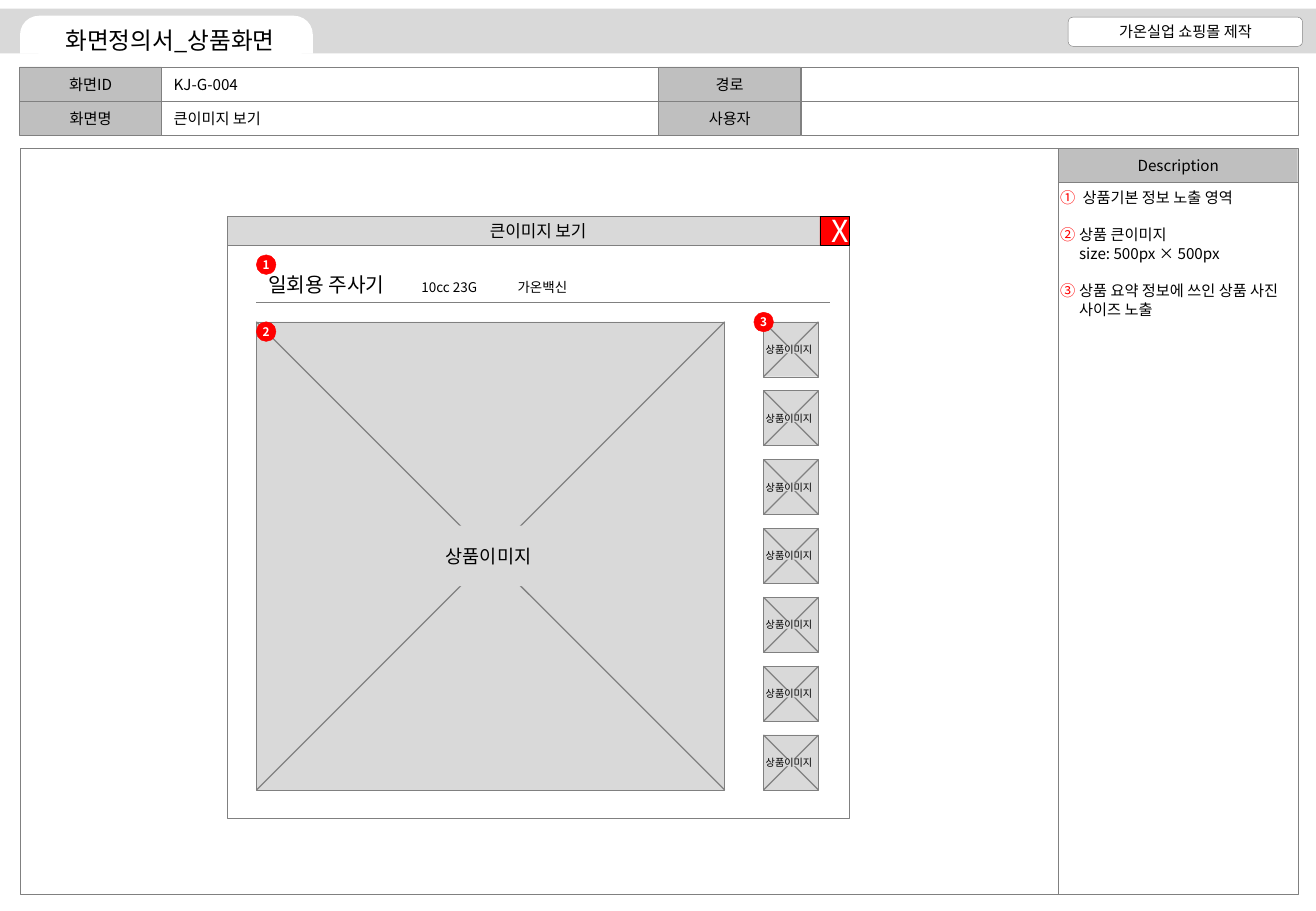
from dataclasses import dataclass

from lxml.etree import SubElement
from pptx import Presentation
from pptx.dml.color import RGBColor
from pptx.enum.shapes import MSO_CONNECTOR, MSO_SHAPE as SHAPE
from pptx.enum.text import MSO_ANCHOR as ANCHOR, PP_ALIGN as ALIGN
from pptx.oxml.ns import qn
from pptx.util import Cm, Pt


@dataclass(frozen=True)
class Theme:
    font: str = "Noto Sans CJK KR"
    black: str = "000000"
    white: str = "FFFFFF"
    red: str = "FF0000"
    line: str = "808080"
    label: str = "BFBFBF"
    panel: str = "D9D9D9"
    title: float = 14
    name: float = 12
    photo: float = 11
    bar: float = 10
    body: float = 9
    detail: float = 8
    marker: float = 7
    thumb: float = 6
    close: float = 18
    leading: float = 11
    hairline: float = 0.25
    rule: float = 0.75


T = Theme()


# Shared building blocks
def write(p, text, size, color=T.black, align=ALIGN.CENTER, bold=False):
    p.text, p.alignment = text, align
    for r in p.runs:
        r.font.color.rgb = RGBColor.from_string(color)
        for key, value in {"size": Pt(size), "bold": bold, "name": T.font}.items():
            setattr(r.font, key, value)
        SubElement(r._r.get_or_add_rPr(), qn("a:ea"), typeface=T.font)


def set_frame(tf, inset=None, anchor=ANCHOR.MIDDLE):
    tf.word_wrap, tf.vertical_anchor = True, anchor
    if inset is not None:
        for side in ("left", "top", "right", "bottom"):
            setattr(tf, f"margin_{side}", Cm(inset))


def add_box(shapes, box, fill=None, line=T.line, text="", size=T.body,
            kind=SHAPE.RECTANGLE, inset=None, **style):
    sp = shapes.add_shape(kind, *map(Cm, box))
    sp.shadow.inherit = False
    if fill:
        sp.fill.solid()
        sp.fill.fore_color.rgb = RGBColor.from_string(fill)
    else:
        sp.fill.background()
    if line:
        sp.line.color.rgb = RGBColor.from_string(line)
        sp.line.width = Pt(T.hairline)
    else:
        sp.line.fill.background()
    if text:
        set_frame(sp.text_frame, inset)
        write(sp.text_frame.paragraphs[0], text, size, **style)
    return sp


def add_text(shapes, box, text, size):
    tf = shapes.add_textbox(*map(Cm, box)).text_frame
    set_frame(tf)
    write(tf.paragraphs[0], text, size, align=ALIGN.LEFT)


def add_line(shapes, x1, y1, x2, y2):
    line = shapes.add_connector(MSO_CONNECTOR.STRAIGHT, *map(Cm, (x1, y1, x2, y2)))
    line.line.color.rgb = RGBColor.from_string(T.line)
    line.line.width = Pt(T.rule)
    SubElement(line._element.spPr, qn("a:effectLst"))


def add_photo(shapes, x, y, side, label_w, label_h, size):
    """Crossed placeholder square with a label over its centre."""
    group = shapes.add_group_shape().shapes
    add_box(group, (x, y, side, side), T.panel)
    add_line(group, x, y, x + side, y + side)
    add_line(group, x + side, y, x, y + side)
    add_box(group, (x + (side - label_w) / 2 - 0.04, y + (side - label_h) / 2,
                    label_w, label_h),
            T.panel, None, "상품이미지", size, inset=0)


def add_marker(shapes, x, y, number):
    add_box(shapes, (x, y, 0.41, 0.41), T.red, T.red, str(number), T.marker,
            SHAPE.OVAL, inset=0, color=T.white, bold=True)


# Regions
def draw_header(shapes, x, y, w, h):
    add_box(shapes, (x, y, w, h), T.panel, None)
    tab = add_box(shapes, (x + 0.42, y + 0.15, 6.12, h - 0.15), T.white, None,
                  kind=SHAPE.ROUND_2_SAME_RECTANGLE)
    tab.adjustments[0] = 0.5
    add_box(shapes, (x + 22.33, y + 0.18, 4.9, 0.61), T.white,
            text="가온실업 쇼핑몰 제작", kind=SHAPE.ROUNDED_RECTANGLE)
    add_box(shapes, (x + 0.76, y + 0.35, 5.59, 0.61), T.white, None,
            "화면정의서_상품화면", T.title, SHAPE.ROUNDED_RECTANGLE)


def draw_screen_info(shapes, x, y, w, h):
    rows = [[("화면ID", "KJ-G-004"), ("경로", "")],
            [("화면명", "큰이미지 보기"), ("사용자", "")]]
    row_h, pair_w, label_w = h / 2, w / 2, 2.97
    for i, row in enumerate(rows):
        for j, (label, value) in enumerate(row):
            left, top = x + j * pair_w, y + i * row_h
            add_box(shapes, (left, top, label_w, row_h), T.label, text=label)
            add_box(shapes, (left + label_w, top, pair_w - label_w, row_h),
                    text=value, align=ALIGN.LEFT)


def draw_popup(shapes, x, y, w, h):
    # Window frame
    bar_h = 0.61
    add_box(shapes, (x, y + bar_h, w, h - bar_h), T.white)
    add_box(shapes, (x, y, w, bar_h), T.panel, text="큰이미지 보기", size=T.bar)
    add_box(shapes, (x + w - bar_h, y, bar_h, bar_h), T.red, T.black, "X",
            T.close, color=T.white)

    # Large photo and thumbnail column
    left, top, thumb_x = x + 0.61, y + 2.21, x + 11.21
    add_photo(shapes, left, top, 9.79, 8.48, 1.27, T.photo)
    for i in range(7):
        add_photo(shapes, thumb_x, top + i * 1.44, 1.15, 1.04, 0.16, T.thumb)

    # Product summary
    add_text(shapes, (left, y + 1.04, 3.2, 0.76), "일회용 주사기", T.name)
    for offset, text in ((3.2, "10cc 23G"), (5.21, "가온백신")):
        add_text(shapes, (left + offset, y + 1.17, 2.21, 0.61), text, T.detail)
    add_line(shapes, left, y + 1.8, left + 11.99, y + 1.8)

    # Numbered markers
    spots = ((left, y + 0.81), (left, top), (thumb_x - 0.2, top - 0.2))
    for number, (mx, my) in enumerate(spots, 1):
        add_marker(shapes, mx, my, number)


def draw_description(shapes, x, y, w, h):
    head_h = 0.72
    add_box(shapes, (x, y, w, head_h), T.label, text="Description")
    add_box(shapes, (x, y + head_h, w, h - head_h))
    notes = [" 상품기본 정보 노출 영역",
             "상품 큰이미지\nsize: 500px × 500px",
             "상품 요약 정보에 쓰인 상품 사진 사이즈 노출"]
    frame = (x + 0.03, y + 0.84, w, h - 0.84)
    tf = shapes.add_textbox(*map(Cm, frame)).text_frame
    set_frame(tf, 0, ANCHOR.TOP)
    for i, note in enumerate(notes):
        p = tf.add_paragraph() if i else tf.paragraphs[0]
        write(p, note, T.body, align=ALIGN.LEFT)
        p.line_spacing = Pt(T.leading)
        p.space_before = Pt(T.leading if i else 0)
        # Red circled numbers with a hanging indent
        pPr = p._p.get_or_add_pPr()
        pPr.set("marL", str(Cm(0.4)))
        pPr.set("indent", str(Cm(-0.4)))
        SubElement(SubElement(pPr, qn("a:buClr")), qn("a:srgbClr"), val=T.red)
        SubElement(pPr, qn("a:buFont"), typeface=T.font)
        SubElement(pPr, qn("a:buAutoNum"), type="circleNumDbPlain")


def main():
    prs = Presentation()
    prs.slide_width, prs.slide_height = Cm(27.51), Cm(19.05)
    shapes = prs.slides.add_slide(prs.slide_layouts[6]).shapes
    add_box(shapes, (0.42, 3.1, 21.71, 15.6))
    draw_header(shapes, 0, 0.18, 27.51, 0.94)
    draw_screen_info(shapes, 0.41, 1.4, 26.72, 1.43)
    draw_popup(shapes, 4.75, 4.52, 13, 12.6)
    draw_description(shapes, 22.13, 3.1, 5, 15.6)
    prs.save("out.pptx")


if __name__ == "__main__":
    main()
